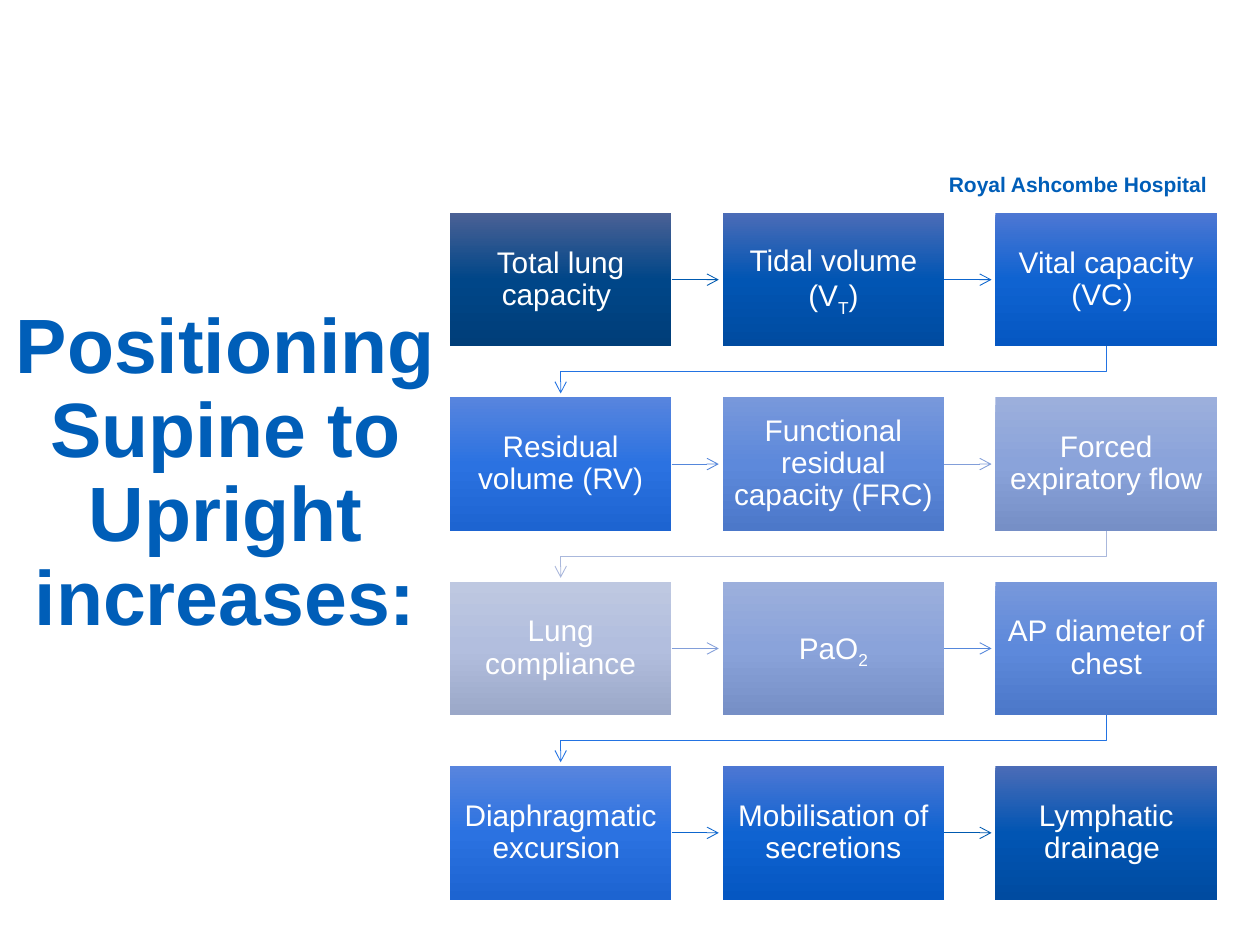
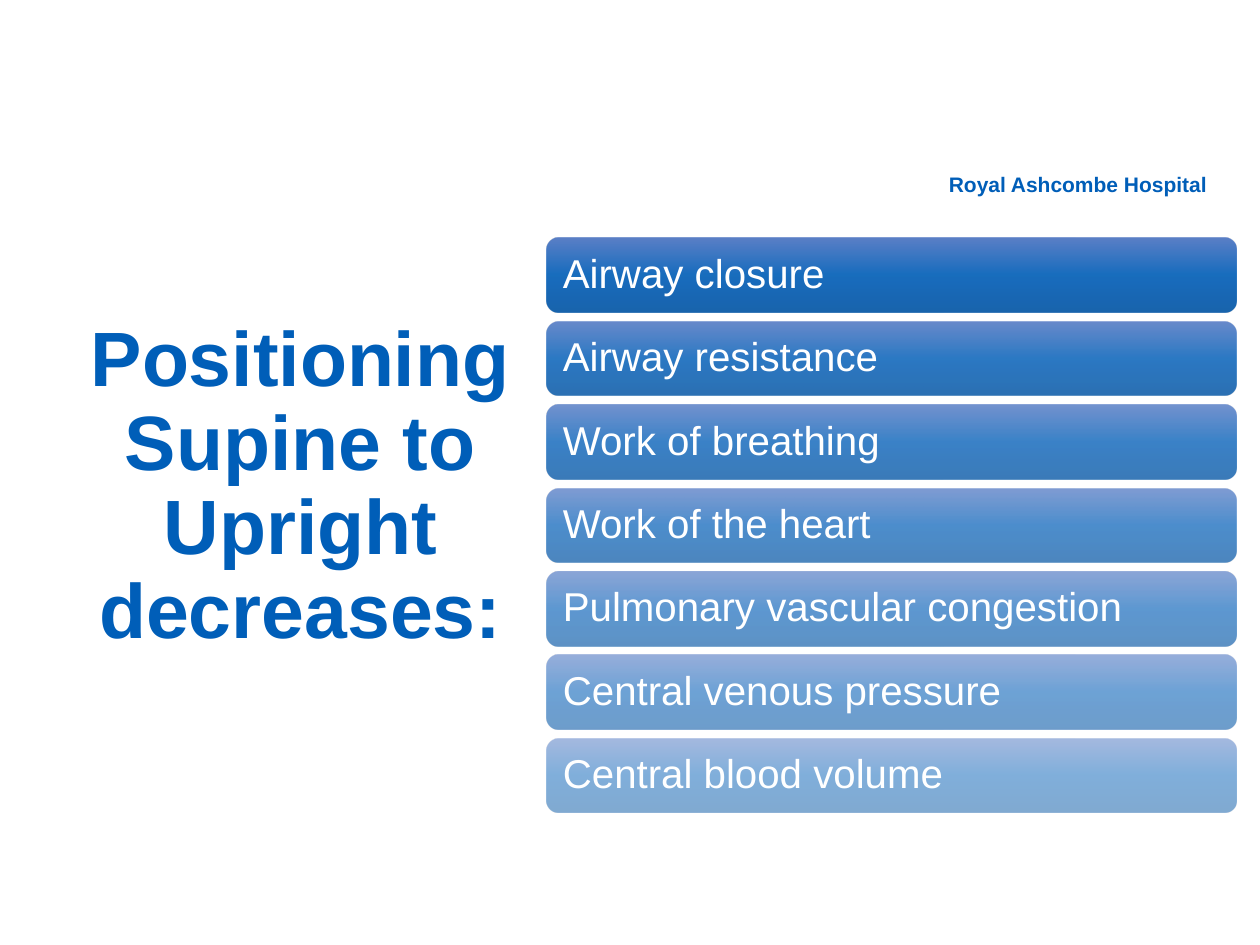
from lxml.etree import SubElement
from pptx import Presentation
from pptx.dml.color import RGBColor
from pptx.enum.shapes import MSO_CONNECTOR, MSO_SHAPE
from pptx.enum.text import MSO_ANCHOR, MSO_AUTO_SIZE, PP_ALIGN
from pptx.oxml.ns import qn
from pptx.util import Inches, Pt

# Content; text between underscores is subscript
HOSPITAL = "Royal Ashcombe Hospital"
INCREASES = {
    "title": "Positioning Supine to Upright increases:",
    "title_area": (-0.15, 1.51, 3.88, 4.48),
    "steps": [
        "Total lung capacity ", "Tidal volume (V_T_)", "Vital capacity (VC) ",
        "Residual volume (RV)", "Functional residual capacity (FRC)", "Forced expiratory flow",
        "Lung compliance", "PaO_2_", "AP diameter of chest",
        "Diaphragmatic excursion ", "Mobilisation of secretions", "Lymphatic drainage ",
    ],
}
DECREASES = {
    "title": "Positioning Supine to Upright decreases:",
    "title_area": (0.66, 1.93, 3.45, 3.85),
    "effects": [
        "Airway closure", "Airway resistance", "Work of breathing", "Work of the heart",
        "Pulmonary vascular congestion", "Central venous pressure", "Central blood volume",
    ],
}

# Shared look
COLOURS = {"brand": "005EB8", "text": "FFFFFF"}
STEP_TONES = [
    ("4B6195", "004688", "003E79"), ("4B6CB7", "0155B3", "004BA0"),
    ("4D77D3", "0F63D1", "0557C2"), ("5885DE", "2B72E1", "1D64D1"),
    ("7898DB", "5D89DB", "4C78C9"), ("9CAFDC", "8AA3DA", "768FC6"),
    ("BEC8E1", "B2BEDE", "9BA8C8"),
]
ARROW_TONES = ["005AB0", "0D66CE", "2373E2", "5587DB", "829ED9", "AAB8DC"]
EFFECT_TONE = ("4B73C1", "005EB8", "0054A4")
FIRST_ALPHA, LAST_ALPHA = 90, 50

FORMATS = {
    "hospital": {
        "colour": "brand", "margin": 0,
        "frame": {"word_wrap": True, "auto_size": MSO_AUTO_SIZE.SHAPE_TO_FIT_TEXT},
        "paragraph": {"alignment": PP_ALIGN.RIGHT, "line_spacing": Pt(16)},
        "font": {"name": "Arial", "size": Pt(12), "bold": True},
    },
    "title": {
        "colour": "brand", "margin": 0,
        "frame": {"word_wrap": True, "vertical_anchor": MSO_ANCHOR.MIDDLE},
        "paragraph": {"alignment": PP_ALIGN.CENTER, "line_spacing": Pt(48)},
        "font": {"name": "Arial", "size": Pt(44), "bold": True},
    },
    "step": {
        "colour": "text", "margin": 0.09,
        "frame": {"word_wrap": True, "vertical_anchor": MSO_ANCHOR.MIDDLE},
        "paragraph": {"alignment": PP_ALIGN.CENTER, "line_spacing": 0.9},
        "font": {"name": "Arial", "size": Pt(17)},
    },
    "effect": {
        "colour": "text", "margin": 0.1,
        "frame": {"word_wrap": True, "vertical_anchor": MSO_ANCHOR.MIDDLE},
        "paragraph": {"alignment": PP_ALIGN.LEFT, "line_spacing": 0.9},
        "font": {"name": "Arial", "size": Pt(23)},
    },
}

# Grids, in inches
HOSPITAL_AREA = (7.33, 1.34, 2.25, 0.21)
COLUMNS, ROWS = 3, 4
STEP_GRID = {"left": 3.57, "top": 1.69, "right": 9.66, "bottom": 7.14}
STEP_W, STEP_H = 1.76, 1.06
STEP_GAP_X = (STEP_GRID["right"] - STEP_GRID["left"] - COLUMNS * STEP_W) / (COLUMNS - 1)
STEP_GAP_Y = (STEP_GRID["bottom"] - STEP_GRID["top"] - ROWS * STEP_H) / (ROWS - 1)
ARROW_CLEARANCE = 0.03
EFFECT_LIST = {"left": 4.34, "top": 1.89, "width": 5.47, "bottom": 6.45}
EFFECT_H = 0.59


def set_all(target, values):
    for attribute, value in values.items():
        setattr(target, attribute, value)


def inches(lengths):
    return [Inches(length) for length in lengths]


def write(shape, text, style):
    look = FORMATS[style]
    frame = shape.text_frame
    margin = Inches(look["margin"])
    set_all(frame, {f"margin_{side}": margin for side in ("left", "top", "right", "bottom")})
    set_all(frame, look["frame"])
    paragraph = frame.paragraphs[0]
    set_all(paragraph, look["paragraph"])
    for index, part in enumerate(text.split("_")):
        if not part:
            continue
        run = paragraph.add_run()
        run.text = part
        set_all(run.font, look["font"])
        run.font.color.rgb = RGBColor.from_string(COLOURS[look["colour"]])
        if index % 2:
            run._r.get_or_add_rPr().set("baseline", "-25000")


def add_panel(slide, kind, area, tones, alpha=100):
    """Borderless shape with a three-stop gradient from top to bottom."""
    panel = slide.shapes.add_shape(kind, *inches(area))
    panel.shadow.inherit = False
    panel.line.fill.background()
    panel.fill.gradient()
    panel.fill.gradient_angle = 270
    stops = panel.element.spPr.find(".//" + qn("a:gsLst"))
    for stop in list(stops):
        stops.remove(stop)
    for position, tone in zip((0, 50000, 100000), tones):
        stop = SubElement(stops, qn("a:gs"), pos=str(position))
        colour = SubElement(stop, qn("a:srgbClr"), val=tone)
        if alpha < 100:
            SubElement(colour, qn("a:alpha"), val=str(round(alpha * 1000)))
    return panel


def add_arrow(slide, points, tone):
    points = [inches(point) for point in points]
    if len(points) == 2:
        arrow = slide.shapes.add_connector(MSO_CONNECTOR.STRAIGHT, *points[0], *points[1])
    else:
        builder = slide.shapes.build_freeform(*points[0])
        builder.add_line_segments(points[1:], close=False)
        arrow = builder.convert_to_shape()
        arrow.fill.background()
    arrow.line.color.rgb = RGBColor.from_string(tone)
    arrow.line.width = Pt(0.5)
    outline = arrow.element.spPr.find(qn("a:ln"))
    SubElement(outline, qn("a:tailEnd"), type="arrow")
    SubElement(arrow.element.spPr, qn("a:effectLst"))


def add_slide(deck, content):
    slide = deck.slides.add_slide(deck.slide_layouts[6])
    for text, area, style in ((HOSPITAL, HOSPITAL_AREA, "hospital"),
                              (content["title"], content["title_area"], "title")):
        write(slide.shapes.add_textbox(*inches(area)), text, style)
    return slide


def step_corner(index):
    row, column = divmod(index, COLUMNS)
    return (STEP_GRID["left"] + column * (STEP_W + STEP_GAP_X),
            STEP_GRID["top"] + row * (STEP_H + STEP_GAP_Y))


def arrow_route(index):
    """Path from one step to the next, wrapping at the end of a row."""
    (x, y), (next_x, next_y) = step_corner(index), step_corner(index + 1)
    if next_y == y:
        middle = y + STEP_H / 2
        return [(x + STEP_W, middle), (next_x - ARROW_CLEARANCE, middle)]
    start, end = x + STEP_W / 2, next_x + STEP_W / 2
    bend = y + STEP_H + STEP_GAP_Y / 2
    return [(start, y + STEP_H), (start, bend), (end, bend), (end, next_y - ARROW_CLEARANCE)]


def build_increases(deck):
    slide = add_slide(deck, INCREASES)
    steps = INCREASES["steps"]
    last = len(steps) - 1
    # Tones fade towards the middle of the flow and return
    for index, step in enumerate(steps):
        if index < last:
            add_arrow(slide, arrow_route(index), ARROW_TONES[min(index, last - 1 - index)])
        area = (*step_corner(index), STEP_W, STEP_H)
        panel = add_panel(slide, MSO_SHAPE.RECTANGLE, area,
                          STEP_TONES[min(index, last + 1 - index)])
        write(panel, step, "step")


def build_decreases(deck):
    slide = add_slide(deck, DECREASES)
    effects = DECREASES["effects"]
    last = len(effects) - 1
    pitch = (EFFECT_LIST["bottom"] - EFFECT_LIST["top"] - EFFECT_H) / last
    # Bars grow more transparent down the list
    for index, effect in enumerate(effects):
        area = (EFFECT_LIST["left"], EFFECT_LIST["top"] + index * pitch,
                EFFECT_LIST["width"], EFFECT_H)
        alpha = FIRST_ALPHA + (LAST_ALPHA - FIRST_ALPHA) * index / last
        bar = add_panel(slide, MSO_SHAPE.ROUNDED_RECTANGLE, area, EFFECT_TONE, alpha)
        write(bar, effect, "effect")


def main():
    deck = Presentation()
    set_all(deck, {"slide_width": Inches(10), "slide_height": Inches(7.5)})
    build_increases(deck)
    build_decreases(deck)
    deck.save("out.pptx")


if __name__ == "__main__":
    main()
